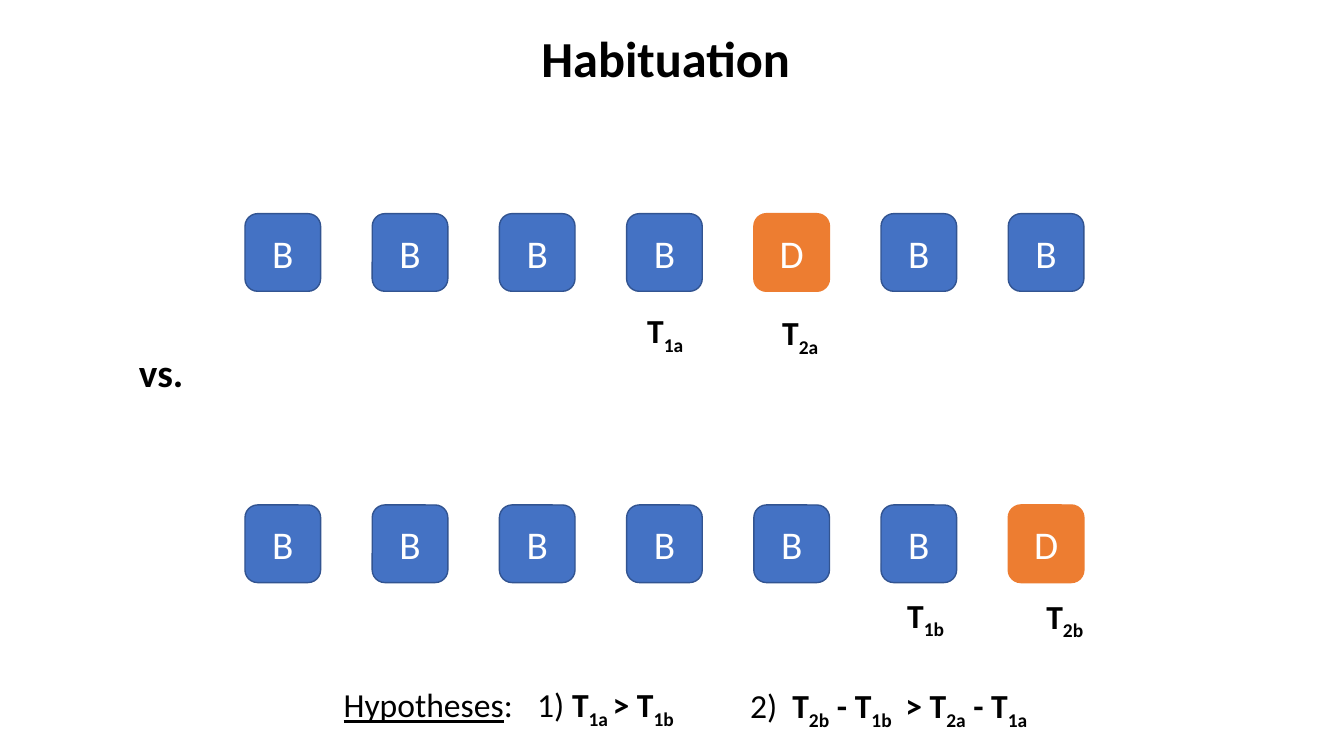
from lxml.etree import SubElement
from pptx import Presentation
from pptx.dml.color import RGBColor
from pptx.enum.shapes import MSO_SHAPE
from pptx.enum.text import MSO_ANCHOR, MSO_AUTO_SIZE, PP_ALIGN
from pptx.oxml.ns import qn
from pptx.util import Inches, Pt

BLUE = RGBColor(0x44, 0x72, 0xC4)
DARK_BLUE = RGBColor(0x32, 0x54, 0x91)
ORANGE = RGBColor(0xED, 0x7D, 0x31)
BLACK = RGBColor(0, 0, 0)
WHITE = RGBColor(0xFF, 0xFF, 0xFF)

# Tile grid, in inches
LEFT, LAST = 2.43, 10
TILE_W, TILE_H = 0.75, 0.77
PITCH = (LAST - LEFT) / 6


def write(tf, *runs, size=24, color=BLACK, align=PP_ALIGN.LEFT, tabs=()):
    """Fill tf with (text, style) runs; style letters: b bold, u underline, s subscript."""
    tf.word_wrap = True
    p = tf.paragraphs[0]
    p.alignment = align
    if tabs:
        tab_list = SubElement(p._p.get_or_add_pPr(), qn("a:tabLst"))
        for pos in tabs:
            SubElement(tab_list, qn("a:tab"), pos=str(Inches(pos)), algn="l")
    for text, style in runs:
        r = p.add_run()
        r.text = text
        r.font.name = "Calibri"
        r.font.size = Pt(size)
        r.font.color.rgb = color
        r.font.bold = "b" in style
        r.font.underline = "u" in style
        if "s" in style:
            r.font._element.set("baseline", "-25000")


prs = Presentation()
prs.slide_width, prs.slide_height = Inches(13.33), Inches(7.5)
s = prs.slides.add_slide(prs.slide_layouts[5])

title = s.shapes.title
title.left, title.top, title.width, title.height = map(Inches, (5.27, 0.22, 2.96, 0.71))
tf = title.text_frame
tf.auto_size = MSO_AUTO_SIZE.NONE
tf.vertical_anchor = MSO_ANCHOR.TOP
write(tf, ("Habituation", "b"), size=36)

# Two stimulus sequences: D is the deviant
for top, sequence in ((2.12, "BBBBDBB"), (5.01, "BBBBBBD")):
    for col, letter in enumerate(sequence):
        sp = s.shapes.add_shape(MSO_SHAPE.ROUNDED_RECTANGLE, Inches(LEFT + col * PITCH),
                                Inches(top), Inches(TILE_W), Inches(TILE_H))
        sp.shadow.inherit = False
        sp.fill.solid()
        sp.fill.fore_color.rgb = ORANGE if letter == "D" else BLUE
        sp.line.color.rgb = ORANGE if letter == "D" else DARK_BLUE
        sp.line.width = Pt(1)
        sp.text_frame.vertical_anchor = MSO_ANCHOR.MIDDLE
        write(sp.text_frame, (letter, ""), size=28, color=WHITE, align=PP_ALIGN.CENTER)

T = ("T", "b")
texts = [
    (6.32, 3.03, 0.75, 0.5, [T, ("1a", "bs")], {}),
    (7.66, 3.05, 0.83, 0.5, [T, ("2a", "bs")], {}),
    (8.9, 5.85, 1.04, 0.5, [T, ("1b", "bs")], {}),
    (10.28, 5.86, 1.04, 0.5, [T, ("2b", "bs")], {}),
    (1.28, 3.41, 1.62, 0.57, [("vs.", "b")], {"size": 28}),
    (3.31, 6.74, 3.84, 0.5,
     [("Hypotheses", "u"), (":\t1) ", ""), T, ("1a ", "bs"), ("> T", "b"), ("1b", "bs")],
     {"tabs": [1.92]}),
    (7.34, 6.75, 3.49, 0.5,
     [("2)\t", ""), T, ("2b", "bs"), (" - T", "b"), ("1b", "bs"), ("\t> T", "b"),
      ("2a", "bs"), (" - T", "b"), ("1a", "bs")],
     {"tabs": [0.42, 1.54]}),
]
for x, y, w, h, runs, style in texts:
    box = s.shapes.add_textbox(Inches(x), Inches(y), Inches(w), Inches(h))
    write(box.text_frame, *runs, **style)

prs.save("out.pptx")
